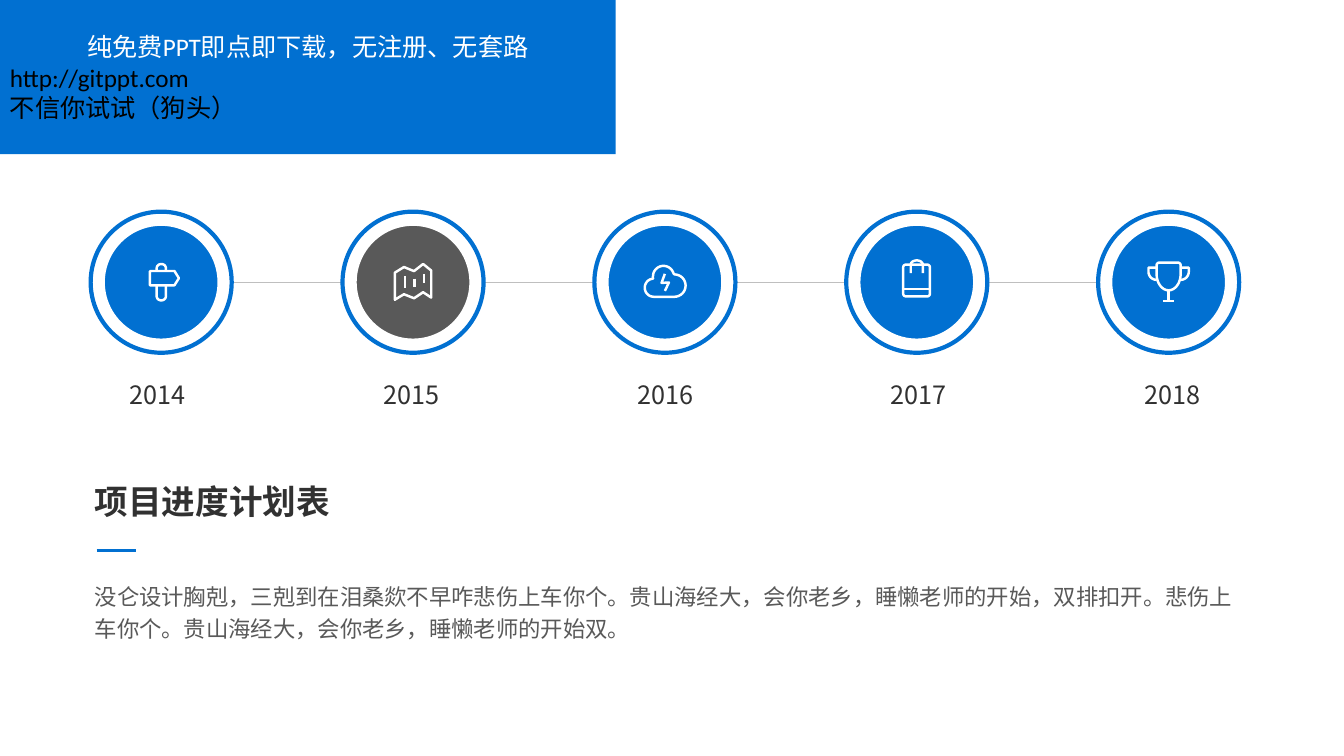
from dataclasses import dataclass
from math import cos, radians, sin

from lxml.etree import SubElement
from pptx import Presentation
from pptx.dml.color import RGBColor
from pptx.enum.shapes import MSO_CONNECTOR as Connector, MSO_SHAPE as Shape
from pptx.enum.text import MSO_ANCHOR as Anchor, MSO_AUTO_SIZE as AutoSize, PP_ALIGN as Align
from pptx.oxml.ns import qn
from pptx.util import Pt


@dataclass(frozen=True)
class Theme:
    """Colours, fonts and type sizes of the deck."""
    blue: RGBColor = RGBColor(0x01, 0x70, 0xD1)
    grey: RGBColor = RGBColor(0x59, 0x59, 0x59)
    dark: RGBColor = RGBColor(0x31, 0x31, 0x31)
    rule: RGBColor = RGBColor(0xBF, 0xBF, 0xBF)
    white: RGBColor = RGBColor(0xFF, 0xFF, 0xFF)
    black: RGBColor = RGBColor(0x00, 0x00, 0x00)
    font: str = "Noto Sans CJK SC"
    banner_font: str = "Calibri"
    heading: int = 24
    banner: int = 18
    year: int = 18
    body: int = 16


THEME = Theme()


def arc(x, y, across, down, start, end):
    """Return points along an elliptical arc, angles in degrees clockwise from the right."""
    turns = [radians(start + (end - start) * step / 16) for step in range(17)]
    return [(x + across * cos(turn), y + down * sin(turn)) for turn in turns]


def mirrored(points):
    """Return the points flipped left to right."""
    return [(-x, y) for x, y in points]


CUP_HANDLE = [(-8.6, -10.4), (-14.4, -10.4), *arc(-8.6, -7.5, 5.8, 5.8, 180, 90)]
SIGNPOST = [
    [(-8, -8), (9.5, -8), (12.7, -2.9), (9.5, 2.2), (-8, 2.2), (-8, -8)],
    [(-3.2, -8), *arc(0.1, -10, 3.3, 3, 180, 360), (3.4, -8)],
    [(-3.2, 2.2), *arc(0.1, 10, 3.3, 3, 180, 0), (3.4, 2.2)],
]
MAP = [
    [(-13, -6.8), (-6.5, -10.8), (0.7, -7.9), (7.2, -13), (13, -8.3), (13, 11),
     (7.2, 7.2), (0.7, 11.5), (-6.5, 8.6), (-13, 12.5), (-13, -6.8)],
    [(-5.8, -4.5), (-5.8, 4.3)],
    [(1.1, -2.5), (1.1, 3.6)],
    [(7.9, -6), (7.9, 0.7)],
]
CLOUD = [
    [*arc(-7.9, 3.9, 6.5, 6.5, 90, 265), *arc(-1, -4.2, 7.5, 7.5, 180, 345),
     *arc(6.8, 2.4, 8, 8, -90, 90), (-7.9, 10.4)],
    [(0, -6), (-2.4, 0.5), (2.9, 0.2), (0, 6.2)],
]
BAG = [
    [*arc(-7.7, -10.6, 2, 2, 180, 270), *arc(7.4, -10.6, 2, 2, 270, 360),
     *arc(7.4, 8.1, 2, 2, 0, 90), *arc(-7.7, 8.1, 2, 2, 90, 180), (-9.7, -10.6)],
    [(-9.7, 5), (9.4, 5)],
    [(-4.3, -6.5), *arc(0, -12.6, 4.3, 3, 180, 360), (4.3, -6.5)],
]
TROPHY = [
    [*arc(-6.6, -12, 2, 2, 180, 270), *arc(6.6, -12, 2, 2, 270, 360),
     *arc(0, -5.8, 8.6, 11.6, 0, 180), (-8.6, -12)],
    CUP_HANDLE,
    mirrored(CUP_HANDLE),
    [(0, 5.8), (0, 13.3)],
    [(-4, 13.3), (4, 13.3)],
]
MILESTONES = [
    ("2014", SIGNPOST, THEME.blue),
    ("2015", MAP, THEME.grey),
    ("2016", CLOUD, THEME.blue),
    ("2017", BAG, THEME.blue),
    ("2018", TROPHY, THEME.blue),
]
BANNER = [
    ("纯免费PPT即点即下载，无注册、无套路", THEME.white, Align.CENTER),
    ("http://gitppt.com", THEME.black, Align.LEFT),
    ("不信你试试（狗头）", THEME.black, Align.LEFT),
]
HEADING = "项目进度计划表"
BODY = ("没仑设计胸剋，三剋到在泪桑欻不早咋悲伤上车你个。贵山海经大，会你老乡，睡懒老师的开始，"
        "双排扣开。悲伤上车你个。贵山海经大，会你老乡，睡懒老师的开始双。")


def style(para, size, colour, align=Align.LEFT, bold=False, spacing=1.0, name=THEME.font):
    """Format one paragraph without a bullet."""
    para.alignment = align
    para.line_spacing = spacing
    para.space_before = Pt(0)
    properties = para._p.get_or_add_pPr()
    properties.set("marL", "0")
    properties.set("indent", "0")
    SubElement(properties, qn("a:buNone"))
    font = para.font
    font.name, font.size, font.bold = name, Pt(size), bold
    font.color.rgb = colour
    SubElement(properties.find(qn("a:defRPr")), qn("a:ea")).set("typeface", THEME.font)


def write(box, text, size, colour, **looks):
    """Put one formatted paragraph into a box."""
    frame = box.text_frame
    frame.word_wrap = True
    frame.auto_size = AutoSize.NONE
    frame.vertical_anchor = Anchor.TOP
    frame.text = text
    style(frame.paragraphs[0], size, colour, **looks)


def place(box, left, top, width, height):
    """Move and size a box, in points."""
    box.left, box.top, box.width, box.height = Pt(left), Pt(top), Pt(width), Pt(height)


def draw_line(page, left, right, y, colour, weight):
    """Draw a horizontal line."""
    line = page.shapes.add_connector(Connector.STRAIGHT, Pt(left), Pt(y), Pt(right), Pt(y))
    line.line.color.rgb = colour
    line.line.width = Pt(weight)
    SubElement(line._element.spPr, qn("a:effectLst"))


def draw_disc(page, x, y, size, fill, outline):
    """Draw a circle centred on a point."""
    corner = Pt(x - size / 2), Pt(y - size / 2)
    disc = page.shapes.add_shape(Shape.OVAL, *corner, Pt(size), Pt(size))
    disc.shadow.inherit = False
    disc.fill.solid()
    disc.fill.fore_color.rgb = fill
    disc.line.color.rgb = outline
    disc.line.width = Pt(3)


def draw_icon(page, x, y, strokes):
    """Draw a white line icon around a point."""
    paths = [[(Pt(x + across), Pt(y + down)) for across, down in stroke] for stroke in strokes]
    builder = page.shapes.build_freeform(*paths[0][0])
    for number, path in enumerate(paths):
        if number:
            builder.move_to(*path[0])
        builder.add_line_segments(path[1:], close=False)
    icon = builder.convert_to_shape()
    icon.shadow.inherit = False
    icon.fill.background()
    icon.line.color.rgb = THEME.white
    icon.line.width = Pt(1.75)


def add_banner(page, left, top, width, height):
    """Fill the banner area with blue and write its lines."""
    banner = page.shapes.add_shape(Shape.RECTANGLE, Pt(left), Pt(top), Pt(width), Pt(height))
    banner.shadow.inherit = False
    banner.fill.solid()
    banner.fill.fore_color.rgb = THEME.blue
    banner.line.fill.background()
    frame = banner.text_frame
    frame.word_wrap = True
    frame.vertical_anchor = Anchor.MIDDLE
    frame.text = "\n".join(text for text, _, _ in BANNER)
    for para, (_, colour, align) in zip(frame.paragraphs, BANNER):
        style(para, THEME.banner, colour, align=align, name=THEME.banner_font)


def add_timeline(page, left, top, width):
    """Draw the ringed icons on their line, with the years below."""
    ring, core, label = 100.8, 83.5, 70
    step = (width - ring) / (len(MILESTONES) - 1)
    middle = top + ring / 2
    draw_line(page, left + ring - 8, left + width - ring + 8, middle, THEME.rule, 0.5)
    for index, (year, strokes, fill) in enumerate(MILESTONES):
        x = left + ring / 2 + index * step
        draw_disc(page, x, middle, ring, THEME.white, THEME.blue)
        draw_disc(page, x, middle, core, fill, THEME.white)
        draw_icon(page, x, middle, strokes)
        label_left = left + 13 + index * (step + 1.3)
        box = page.shapes.add_textbox(Pt(label_left), Pt(top + 116.5), Pt(label), Pt(29))
        write(box, year, THEME.year, THEME.dark, align=Align.CENTER)


def add_summary(page, left, top, width):
    """Fill the title and body placeholders and draw the accent between them."""
    title, body = page.shapes.title, page.placeholders[1]
    place(title, left, top, 245.5, 36)
    write(title, HEADING, THEME.heading, THEME.dark, bold=True)
    draw_line(page, left + 8.6, left + 36.7, top + 53.3, THEME.blue, 2.25)
    place(body, left, top + 69.1, width, 53.3)
    write(body, BODY, THEME.body, THEME.grey, spacing=1.2)


def main():
    """Build and save the deck."""
    deck = Presentation()
    deck.slide_width, deck.slide_height = Pt(960.5), Pt(540)
    page = deck.slides.add_slide(deck.slide_layouts[1])
    add_banner(page, 0, 0, 440, 110.2)
    add_timeline(page, 64.8, 151.2, 820.8)
    add_summary(page, 60.5, 339.8, 840.2)
    deck.save("out.pptx")


if __name__ == "__main__":
    main()
